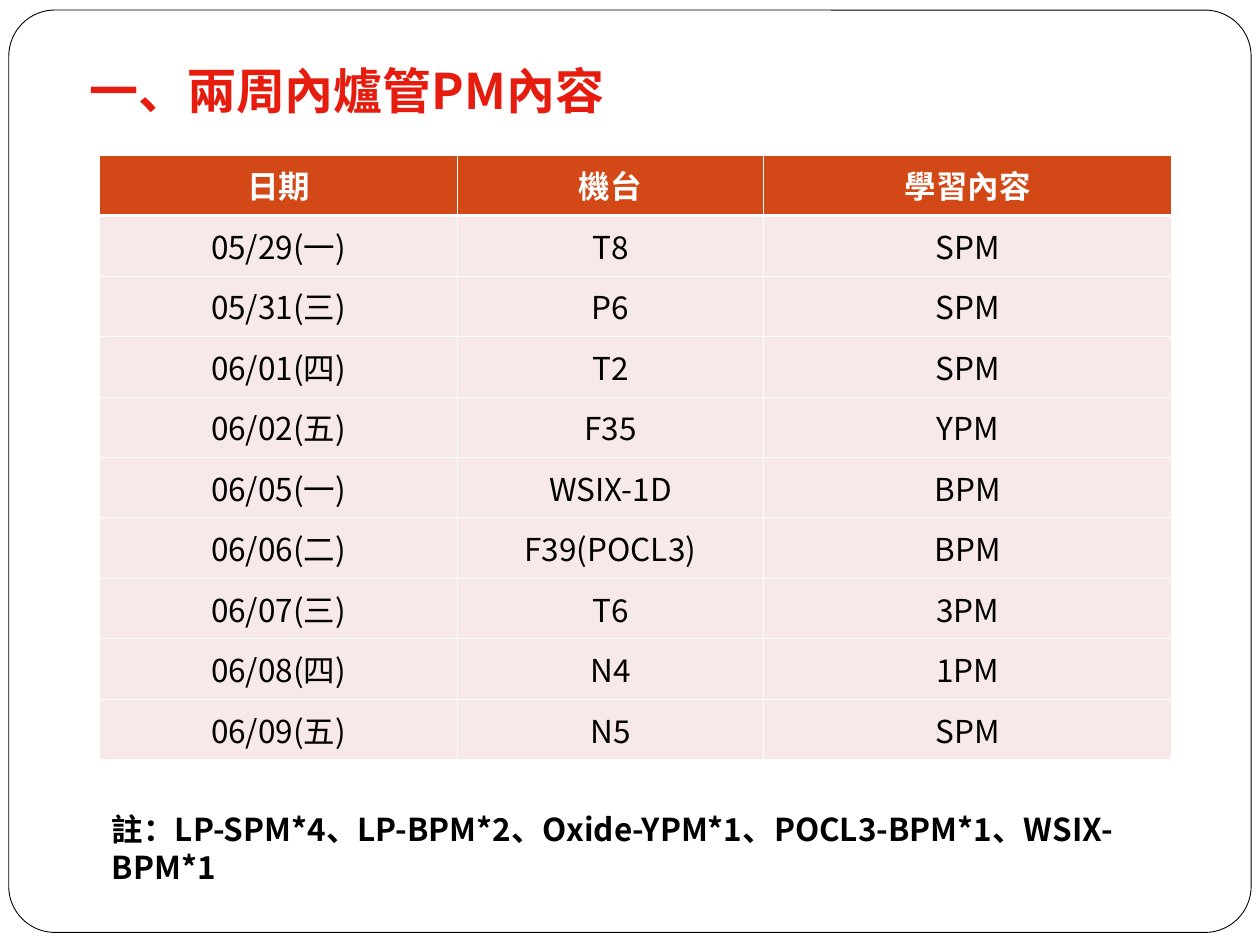
import lxml.etree
import pptx
import pptx.dml.color
import pptx.enum.shapes
import pptx.enum.text
import pptx.oxml.ns
import pptx.util

Inches = pptx.util.Inches
Pt = pptx.util.Pt
qn = pptx.oxml.ns.qn

FONT = "Noto Sans CJK SC"
WHITE = "FFFFFF"
BLACK = "000000"
RED = "E61C0E"
ORANGE = "D34817"
PINK = "F7E9E7"
THIN = 0.45
THICK = 1.5

TITLE = "一、兩周內爐管PM內容"
NOTE = "註：LP-SPM*4、LP-BPM*2、Oxide-YPM*1、POCL3-BPM*1、WSIX-BPM*1"
SCHEDULE = [
    ("日期", "機台", "學習內容"),
    ("05/29(一)", "T8", "SPM"),
    ("05/31(三)", "P6", "SPM"),
    ("06/01(四)", "T2", "SPM"),
    ("06/02(五)", "F35", "YPM"),
    ("06/05(一)", "WSIX-1D", "BPM"),
    ("06/06(二)", "F39(POCL3)", "BPM"),
    ("06/07(三)", "T6", "3PM"),
    ("06/08(四)", "N4", "1PM"),
    ("06/09(五)", "N5", "SPM"),
]
COLUMN_SHARES = (0.334, 0.285, 0.381)


def color(value):
    return pptx.dml.color.RGBColor.from_string(value)


def paint(target, value):
    target.fill.solid()
    target.fill.fore_color.rgb = color(value)


def write(frame, text, size, value, bold):
    frame.text = text
    span = frame.paragraphs[0].runs[0]
    span.font.size = Pt(size)
    span.font.bold = bold
    span.font.color.rgb = color(value)
    span.font.name = FONT
    latin = span.font._element.find(qn("a:latin"))
    east_asian = lxml.etree.Element(qn("a:ea"), typeface=FONT)
    latin.addnext(east_asian)


def set_border(cell, side, width):
    properties = cell._tc.get_or_add_tcPr()
    line = lxml.etree.SubElement(properties, qn("a:" + side), w=str(Pt(width)))
    fill = lxml.etree.SubElement(line, qn("a:solidFill"))
    lxml.etree.SubElement(fill, qn("a:srgbClr"), val=WHITE)


def add_frame(page, left, top, width, height):
    frame = page.shapes.add_shape(
        pptx.enum.shapes.MSO_SHAPE.ROUNDED_RECTANGLE,
        Inches(left), Inches(top), Inches(width), Inches(height))
    frame.adjustments[0] = 0.05
    frame.shadow.inherit = False
    paint(frame, WHITE)
    frame.line.color.rgb = color(BLACK)
    frame.line.width = Pt(0.5)


def add_label(page, left, top, width, height, text, size, value, wrap):
    box = page.shapes.add_textbox(
        Inches(left), Inches(top), Inches(width), Inches(height))
    box.text_frame.word_wrap = wrap
    write(box.text_frame, text, size, value, True)


def fill_cell(cell, text, row):
    header = row == 0
    write(cell.text_frame, text, 18, WHITE if header else BLACK, header)
    cell.text_frame.paragraphs[0].alignment = pptx.enum.text.PP_ALIGN.CENTER
    cell.vertical_anchor = pptx.enum.text.MSO_ANCHOR.MIDDLE
    set_border(cell, "lnL", THIN)
    set_border(cell, "lnR", THIN)
    set_border(cell, "lnT", THICK if row == 1 else THIN)
    set_border(cell, "lnB", THICK if header else THIN)
    paint(cell, ORANGE if header else PINK)


def add_schedule(page, left, top, width, height):
    table = page.shapes.add_table(
        len(SCHEDULE), len(COLUMN_SHARES),
        Inches(left), Inches(top), Inches(width), Inches(height)).table
    table.horz_banding = False
    for column, share in zip(table.columns, COLUMN_SHARES):
        column.width = Inches(width * share)
    for row, texts in enumerate(SCHEDULE):
        table.rows[row].height = Inches(height / len(SCHEDULE))
        for column, text in enumerate(texts):
            fill_cell(table.cell(row, column), text, row)


def main():
    deck = pptx.Presentation()
    deck.slide_width = Inches(10)
    deck.slide_height = Inches(7.5)
    page = deck.slides.add_slide(deck.slide_layouts[6])
    add_frame(page, 0.07, 0.08, 9.86, 7.32)
    add_schedule(page, 0.79, 1.23, 8.51, 4.8)
    add_label(page, 0.79, 6.38, 8.54, 0.7, NOTE, 18, BLACK, True)
    add_label(page, 0.61, 0.43, 4.49, 0.57, TITLE, 28, RED, False)
    deck.save("out.pptx")


if __name__ == "__main__":
    main()
